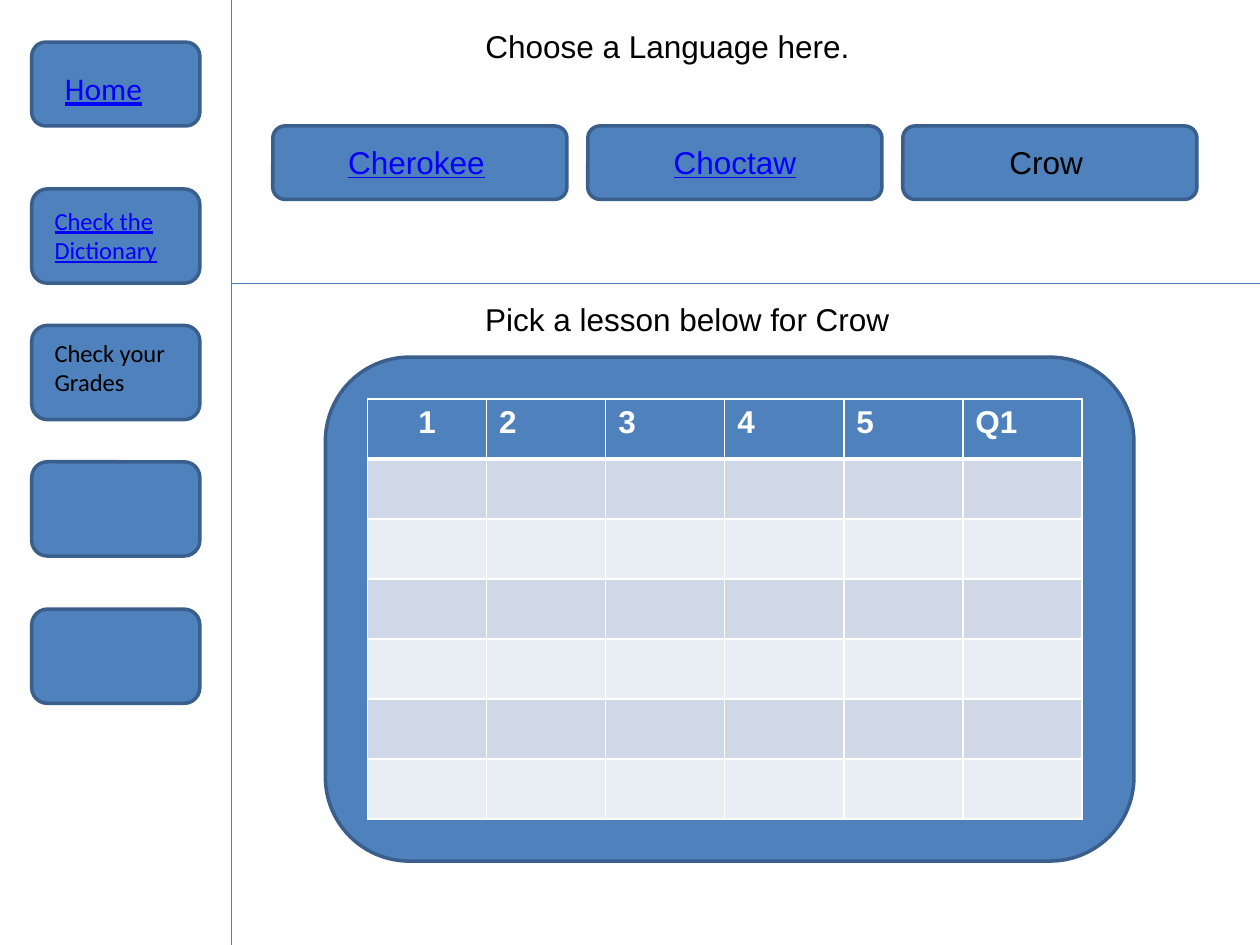
from lxml import etree
from pptx import Presentation
from pptx.dml.color import RGBColor
from pptx.enum.shapes import MSO_CONNECTOR as Connector, MSO_SHAPE as Preset
from pptx.enum.text import MSO_ANCHOR as Anchor, MSO_AUTO_SIZE as AutoSize, PP_ALIGN as Align
from pptx.oxml.ns import qn
from pptx.util import Cm, Pt

BLUE, EDGE, RULE = "4F81BD", "3A5F8C", "4B7EBC"
LINK, BLACK, WHITE = "0000FF", "000000", "FFFFFF"
BANDS = ("E9EDF4", "D0D8E8")
HEADINGS = ("1", "2", "3", "4", "5", "Q1")


def color(value):
    return RGBColor.from_string(value)


def place(shape, left, top, width, height):
    shape.left, shape.top = Cm(left), Cm(top)
    shape.width, shape.height = Cm(width), Cm(height)


def format_text(paragraph, size, font, ink, underline=False, bold=False):
    for run in paragraph.runs:
        run.font.size = Pt(size)
        run.font.name = font
        run.font.bold = bold
        run.font.underline = underline
        run.font.color.rgb = color(ink)


def add_title(slide, text, left, top, width, height):
    title = slide.shapes.title
    place(title, left, top, width, height)
    frame = title.text_frame
    frame.text = text
    frame.word_wrap = True
    frame.auto_size = AutoSize.NONE
    frame.vertical_anchor = Anchor.TOP
    frame.paragraphs[0].alignment = Align.LEFT
    format_text(frame.paragraphs[0], 18, "Arial", BLACK)


def add_label(slide, text, left, top, width, height, size=18, font="Arial", link=False):
    box = slide.shapes.add_textbox(Cm(left), Cm(top), Cm(width), Cm(height))
    frame = box.text_frame
    frame.text = text
    frame.word_wrap = True
    format_text(frame.paragraphs[0], size, font, LINK if link else BLACK, link)


def add_panel(slide, left, top, width, height):
    shape = slide.shapes.add_shape(
        Preset.ROUNDED_RECTANGLE, Cm(left), Cm(top), Cm(width), Cm(height))
    shape.shadow.inherit = False
    shape.fill.solid()
    shape.fill.fore_color.rgb = color(BLUE)
    shape.line.color.rgb = color(EDGE)
    shape.line.width = Pt(2)


def add_divider(slide, x1, y1, x2, y2):
    line = slide.shapes.add_connector(
        Connector.STRAIGHT, Cm(x1), Cm(y1), Cm(x2), Cm(y2))
    line.line.color.rgb = color(RULE)
    line.line.width = Pt(0.75)
    etree.SubElement(line._element.spPr, qn("a:effectLst"))


def set_borders(cell, widths):
    properties = cell._tc.get_or_add_tcPr()
    for index, (side, width) in enumerate(zip("LRTB", widths)):
        border = etree.Element(qn(f"a:ln{side}"), w=str(Pt(width)))
        fill = etree.SubElement(border, qn("a:solidFill"))
        etree.SubElement(fill, qn("a:srgbClr"), val=WHITE)
        properties.insert(index, border)


def add_lessons(slide, left, top, column_width, row_height, row_count):
    count = len(HEADINGS)
    table = slide.shapes.add_table(
        row_count, count, Cm(left), Cm(top),
        Cm(column_width * count), Cm(row_height * row_count)).table
    for column in table.columns:
        column.width = Cm(column_width)
    for index, row in enumerate(table.rows):
        row.height = Cm(row_height)
        for cell in row.cells:
            cell.fill.solid()
            cell.fill.fore_color.rgb = color(BANDS[index % 2] if index else BLUE)
            set_borders(cell, (1, 1, 3 if index == 1 else 1, 1 if index else 3))
    for index, heading in enumerate(HEADINGS):
        paragraph = table.cell(0, index).text_frame.paragraphs[0]
        paragraph.text = heading
        paragraph.alignment = Align.LEFT if index else Align.CENTER
        format_text(paragraph, 18, "Arial", WHITE, bold=True)


def add_sidebar(slide):
    add_panel(slide, 0.64, 0.85, 3.39, 1.69)
    for top in (3.81, 6.56, 9.31, 12.28):
        add_panel(slide, 0.64, top, 3.39, 1.9)
    add_label(slide, "Home", 1.06, 1.27, 2.54, 1.02, 18, "Calibri", True)
    add_label(slide, "Check the Dictionary", 0.85, 4.02, 3.18, 1.45, 14, "Calibri", True)
    add_label(slide, "Check your Grades", 0.85, 6.69, 2.96, 1.45, 14, "Calibri")


def add_languages(slide):
    languages = (("Cherokee", 1.27, 3.4, True),
                 ("Choctaw", 1.48, 4.45, True),
                 ("Crow", 1.9, 4.66, False))
    for index, (name, indent, width, link) in enumerate(languages):
        left = 5.5 + 6.35 * index
        add_panel(slide, left, 2.54, 5.93, 1.48)
        add_label(slide, name, left + indent, 2.75, width, 1.02, link=link)


def main():
    presentation = Presentation()
    presentation.slide_width, presentation.slide_height = Cm(25.4), Cm(19.05)
    slide = presentation.slides.add_slide(presentation.slide_layouts[5])
    add_title(slide, "Choose a Language here.", 9.53, 0.42, 8.47, 1.02)
    add_sidebar(slide)
    add_divider(slide, 4.66, 0, 4.66, 19.05)
    add_divider(slide, 4.66, 5.72, 25.4, 5.72)
    add_languages(slide)
    add_panel(slide, 6.56, 7.2, 16.3, 10.16)
    add_lessons(slide, 7.41, 8.04, 2.4, 1.21, 7)
    add_label(slide, "Pick a lesson below for Crow", 9.53, 5.93, 10.16, 1.06)
    presentation.save("out.pptx")


main()
